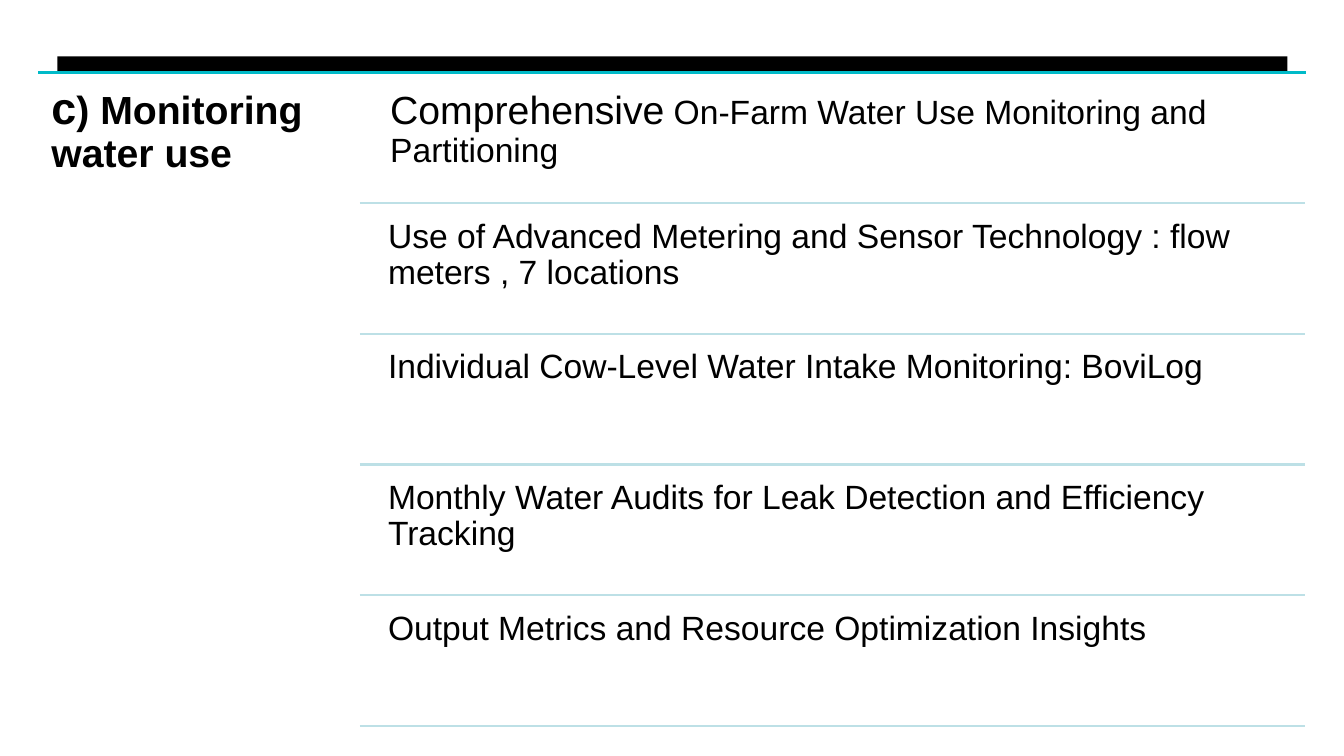
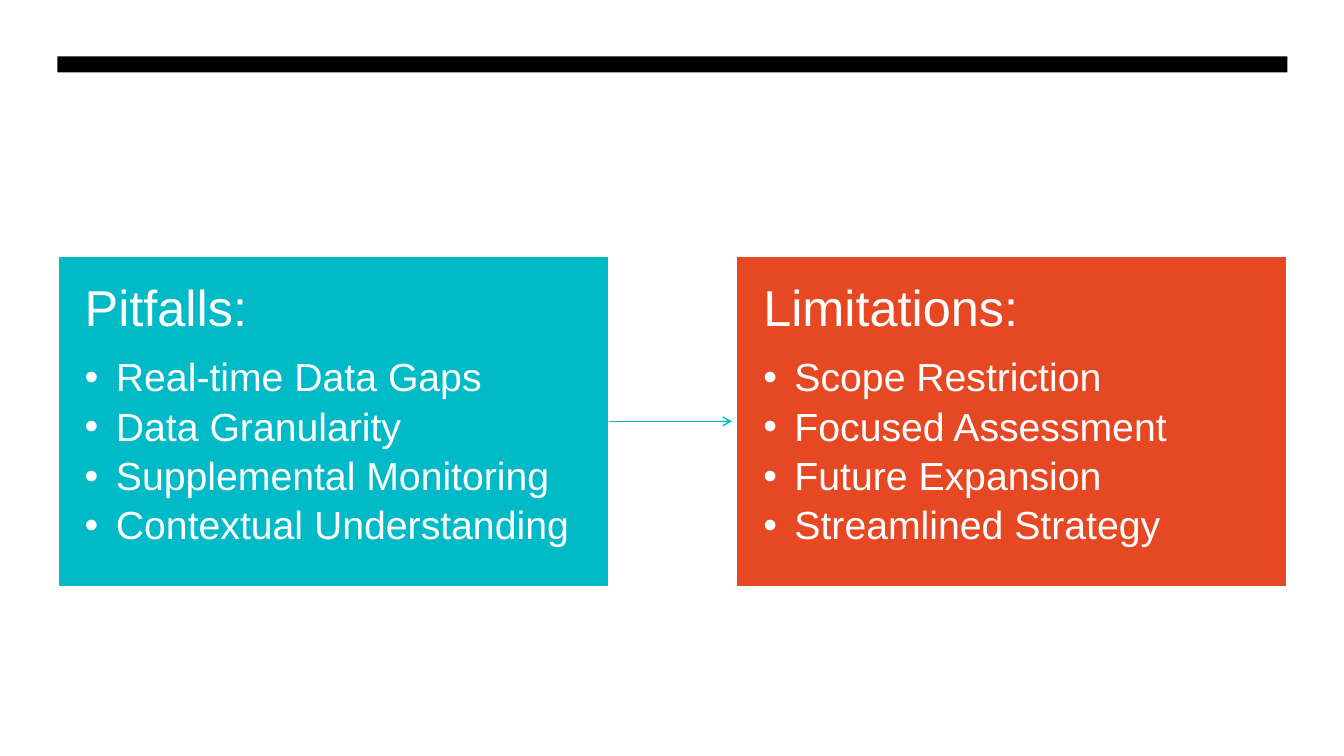
from lxml import etree
from pptx import Presentation
from pptx.dml.color import RGBColor
from pptx.enum import shapes, text
from pptx.oxml import ns
from pptx.util import Inches, Pt

HUES = {"black": "000000", "white": "FFFFFF", "teal": "00BAC8",
        "pale": "BDE0E6", "red": "E64823"}


def hue(name):
    return RGBColor.from_string(HUES[name])


class Deck:
    font = "Arial"

    def __init__(self):
        self.prs = Presentation()
        self.prs.slide_width = Inches(13.33)
        self.prs.slide_height = Inches(7.5)
        self.slide = None

    def page(self, layout):
        """Start a slide with the black band on top."""
        self.slide = self.prs.slides.add_slide(self.prs.slide_layouts[layout])
        band = self.slide.shapes.add_shape(
            shapes.MSO_SHAPE.RECTANGLE,
            Inches(0.57), Inches(0.56), Inches(12.2), Inches(0.16))
        band.shadow.inherit = False
        band.fill.solid()
        band.fill.fore_color.rgb = hue("black")
        band.line.fill.background()

    def line(self, left, right, top, color, width=1.5, arrow=False):
        line = self.slide.shapes.add_connector(
            shapes.MSO_CONNECTOR.STRAIGHT,
            Inches(left), Inches(top), Inches(right), Inches(top))
        line.line.color.rgb = hue(color)
        line.line.width = Pt(width)
        props = line._element.spPr
        if arrow:
            etree.SubElement(props.find(ns.qn("a:ln")),
                             ns.qn("a:tailEnd"), type="arrow")
        etree.SubElement(props, ns.qn("a:effectLst"))

    def place(self, shape, box, pad):
        """Set the box and insets of a text shape; return its frame."""
        shape.left, shape.top, shape.width, shape.height = map(Inches, box)
        frame = shape.text_frame
        frame.word_wrap = True
        frame.auto_size = text.MSO_AUTO_SIZE.NONE
        frame.vertical_anchor = text.MSO_ANCHOR.TOP
        frame.margin_left = frame.margin_right = Inches(pad)
        frame.margin_top = frame.margin_bottom = Inches(pad)
        return frame

    def words(self, para, runs, color="black", bold=False, after=0,
              bullet=False):
        """Fill a paragraph with (words, size) runs."""
        props = para._p.get_or_add_pPr()
        indent = Inches(0.31) if bullet else 0
        props.set("marL", str(indent))
        props.set("indent", str(-indent))
        if bullet:
            etree.SubElement(props, ns.qn("a:buChar"), char="•")
        else:
            etree.SubElement(props, ns.qn("a:buNone"))
        para.alignment = text.PP_ALIGN.LEFT
        para.line_spacing = 0.9
        para.space_before = Pt(0)
        para.space_after = Pt(after)
        for part, size in runs:
            run = para.add_run()
            run.text = part
            run.font.name = self.font
            run.font.size = Pt(size)
            run.font.bold = bold
            run.font.color.rgb = hue(color)

    def title(self, box, runs):
        frame = self.place(self.slide.shapes.title, box, 0.13)
        self.words(frame.paragraphs[0], runs, bold=True)

    def note(self, box, runs, pad):
        shape = self.slide.shapes.add_textbox(*map(Inches, box))
        self.words(self.place(shape, box, pad).paragraphs[0], runs)

    def panel(self, index, box, color, head, items):
        """Turn a body placeholder into a filled card with a list."""
        card = self.slide.placeholders[index]
        frame = self.place(card, box, 0.27)
        card.fill.solid()
        card.fill.fore_color.rgb = hue(color)
        card.line.color.rgb = hue("white")
        card.line.width = Pt(1.5)
        self.words(frame.paragraphs[0], [(head, 36)], "white", after=14.5)
        for item in items:
            para = frame.add_paragraph()
            para.level = 1
            self.words(para, [(item, 28)], "white", after=5, bullet=True)

    def drop(self, shape):
        shape._element.getparent().remove(shape._element)


def water(deck):
    deck.page(5)
    top, end = 0.72, 7.2
    deck.line(0.38, 12.95, top, "teal")
    deck.title((0.38, top, 3.19, 6.55),
               [("c", 32), (") Monitoring water use", 28)])
    rows = [
        [("Comprehensive", 28),
         (" On-Farm Water Use Monitoring and Partitioning", 24)],
        [("Use of Advanced Metering and Sensor Technology : "
          "flow meters , 7 locations", 24)],
        [("Individual Cow-Level Water Intake Monitoring: BoviLog", 24)],
        [("Monthly Water Audits for Leak Detection and Efficiency Tracking",
          24)],
        [("Output Metrics and Resource Optimization Insights", 24)],
    ]
    step = (end - top) / len(rows)
    for i, runs in enumerate(rows):
        y = top + i * step
        deck.note((3.75, y + 0.06, 9.19, 1.24), runs, 0.1 if i else 0.12)
        deck.line(3.57, 12.94, y + step, "pale")


def limits(deck):
    deck.page(3)
    deck.drop(deck.slide.shapes.title)
    top, wide, high = 2.54, 5.47, 3.28
    deck.line(6.04, 7.26, top + high / 2, "teal", 1, arrow=True)
    deck.panel(1, (0.57, top, wide, high), "teal", "Pitfalls:",
               ["Real-time Data Gaps", "Data Granularity",
                "Supplemental Monitoring", "Contextual Understanding"])
    deck.panel(2, (7.3, top, wide, high), "red", "Limitations:",
               ["Scope Restriction", "Focused Assessment",
                "Future Expansion", "Streamlined Strategy"])


def main():
    deck = Deck()
    water(deck)
    limits(deck)
    deck.prs.save("out.pptx")


if __name__ == "__main__":
    main()
